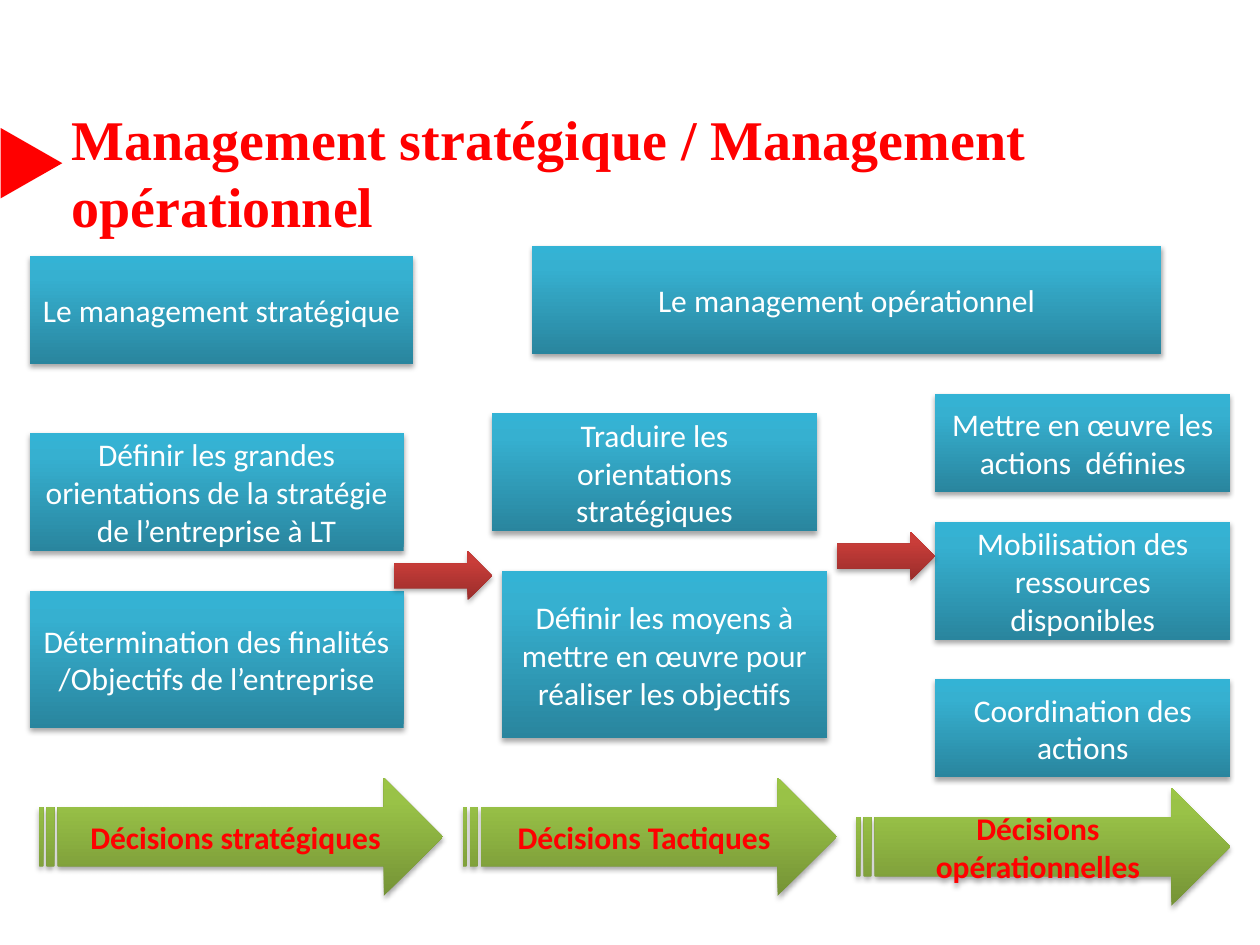
from dataclasses import dataclass

import pptx
import pptx.dml.color
import pptx.enum.shapes
import pptx.enum.text
import pptx.oxml
import pptx.oxml.ns
import pptx.util

Pt = pptx.util.Pt
Shape = pptx.enum.shapes.MSO_SHAPE
Anchor = pptx.enum.text.MSO_ANCHOR
Align = pptx.enum.text.PP_ALIGN

RED = "FF0000"
WHITE = "FFFFFF"
BLUE_STOPS = ((0, "29859E"), (80, "36B0D0"), (100, "33B3D5"))
RED_STOPS = ((0, "992D2B"), (80, "C93D39"), (100, "CD3A36"))
GREEN_STOPS = ((0, "759336"), (80, "99C247"), (100, "9BC545"))


@dataclass(frozen=True)
class Style:
    preset: pptx.enum.shapes.MSO_SHAPE
    stops: tuple[tuple[int, str], ...]
    text_color: str = WHITE
    bold: bool = False


@dataclass(frozen=True)
class Block:
    left: float
    top: float
    width: float
    height: float
    text: str = ""


TOPIC = Style(Shape.RECTANGLE, BLUE_STOPS)
LINK = Style(Shape.RIGHT_ARROW, RED_STOPS)
DECISION = Style(Shape.STRIPED_RIGHT_ARROW, GREEN_STOPS, RED, True)

STRATEGIC_LEFT, STRATEGIC_WIDTH = 16.9, 213.75
TACTICAL_WIDTH = 185.6
OPERATIONAL_LEFT, OPERATIONAL_WIDTH = 534.4, 168.75
LINK_WIDTH, LINK_HEIGHT = 56.25, 28.1
DECISION_HEIGHT = 67.5

TOPICS = (
    Block(STRATEGIC_LEFT, 146.25, 219.4, 61.9, "Le management stratégique"),
    Block(303.75, 140.6, 360, 61.9, "Le management opérationnel"),
    Block(STRATEGIC_LEFT, 247.5, STRATEGIC_WIDTH, 67.5,
          "Définir les grandes orientations de la stratégie de l’entreprise à LT"),
    Block(STRATEGIC_LEFT, 337.5, STRATEGIC_WIDTH, 78.75,
          "Détermination des finalités /Objectifs de l’entreprise"),
    Block(281.25, 236.25, TACTICAL_WIDTH, 67.5,
          "Traduire les orientations stratégiques"),
    Block(286.9, 326.25, TACTICAL_WIDTH, 95.6,
          "Définir les moyens à mettre en œuvre pour réaliser les objectifs"),
    Block(OPERATIONAL_LEFT, 225, OPERATIONAL_WIDTH, 56.25,
          "Mettre en œuvre les actions  définies"),
    Block(OPERATIONAL_LEFT, 298.1, OPERATIONAL_WIDTH, 67.5,
          "Mobilisation des ressources disponibles"),
    Block(OPERATIONAL_LEFT, 388.1, OPERATIONAL_WIDTH, 56.25,
          "Coordination des actions"),
)
LINKS = (
    Block(225, 315, LINK_WIDTH, LINK_HEIGHT),
    Block(478.1, 303.75, LINK_WIDTH, LINK_HEIGHT),
)
DECISIONS = (
    Block(22.5, 444.4, 230.6, DECISION_HEIGHT, "Décisions stratégiques"),
    Block(264.4, 444.4, 213.75, DECISION_HEIGHT, "Décisions Tactiques"),
    Block(489.4, 450, 213.75, DECISION_HEIGHT, "Décisions opérationnelles"),
)


def rgb(value: str) -> pptx.dml.color.RGBColor:
    return pptx.dml.color.RGBColor.from_string(value)


def add_run(paragraph, text: str, font_name: str, size: float, color: str, bold: bool) -> None:
    run = paragraph.add_run()
    run.text = text
    run.font.name = font_name
    run.font.size = Pt(size)
    run.font.bold = bold
    run.font.color.rgb = rgb(color)


def fill_gradient(shape, stops: tuple[tuple[int, str], ...]) -> None:
    """Fill from the bottom (first stop) to the top (last stop)."""
    shape.fill.gradient()
    shape.fill.gradient_angle = 90
    stop_list = shape.element.spPr.find(".//" + pptx.oxml.ns.qn("a:gsLst"))
    for old_stop in list(stop_list):
        stop_list.remove(old_stop)
    for percent, color in stops:
        stop_list.append(pptx.oxml.parse_xml(
            f'<a:gs {pptx.oxml.ns.nsdecls("a")} pos="{percent * 1000}">'
            f'<a:srgbClr val="{color}"/></a:gs>'))


def cast_shadow(shape) -> None:
    shape.shadow.inherit = False
    effects = shape.element.spPr.find(pptx.oxml.ns.qn("a:effectLst"))
    effects.append(pptx.oxml.parse_xml(
        f'<a:outerShdw {pptx.oxml.ns.nsdecls("a")} blurRad="{Pt(3.1)}" dist="{Pt(1.8)}"'
        ' dir="5400000" rotWithShape="0"><a:srgbClr val="000000">'
        '<a:alpha val="35000"/></a:srgbClr></a:outerShdw>'))


def draw_block(slide, block: Block, style: Style) -> None:
    shape = slide.shapes.add_shape(
        style.preset, Pt(block.left), Pt(block.top), Pt(block.width), Pt(block.height))
    fill_gradient(shape, style.stops)
    shape.line.fill.background()
    cast_shadow(shape)
    if block.text:
        frame = shape.text_frame
        frame.word_wrap = True
        frame.vertical_anchor = Anchor.MIDDLE
        paragraph = frame.paragraphs[0]
        paragraph.alignment = Align.CENTER
        add_run(paragraph, block.text, "Calibri", 18, style.text_color, style.bold)


def draw_title(slide) -> None:
    marker = slide.shapes.add_shape(
        Shape.ISOSCELES_TRIANGLE, Pt(-2.2), Pt(75.6), Pt(40.3), Pt(35.3))
    marker.rotation = 90
    marker.fill.solid()
    marker.fill.fore_color.rgb = rgb(RED)
    marker.line.fill.background()
    marker.shadow.inherit = False

    title = slide.shapes.title
    title.left, title.top, title.width, title.height = Pt(33.8), Pt(56.2), Pt(607.7), Pt(106.6)
    frame = title.text_frame
    frame.word_wrap = True
    frame.auto_size = pptx.enum.text.MSO_AUTO_SIZE.NONE
    frame.vertical_anchor = Anchor.TOP
    paragraph = frame.paragraphs[0]
    paragraph.alignment = Align.LEFT
    add_run(paragraph, "Management stratégique / Management opérationnel",
            "Times New Roman", 32, RED, True)


def main() -> None:
    presentation = pptx.Presentation()
    presentation.slide_width, presentation.slide_height = Pt(720), Pt(540)
    title_only = presentation.slide_layouts[5]
    slide = presentation.slides.add_slide(title_only)
    draw_title(slide)
    for style, blocks in ((TOPIC, TOPICS), (LINK, LINKS), (DECISION, DECISIONS)):
        for block in blocks:
            draw_block(slide, block, style)
    presentation.save("out.pptx")


if __name__ == "__main__":
    main()
